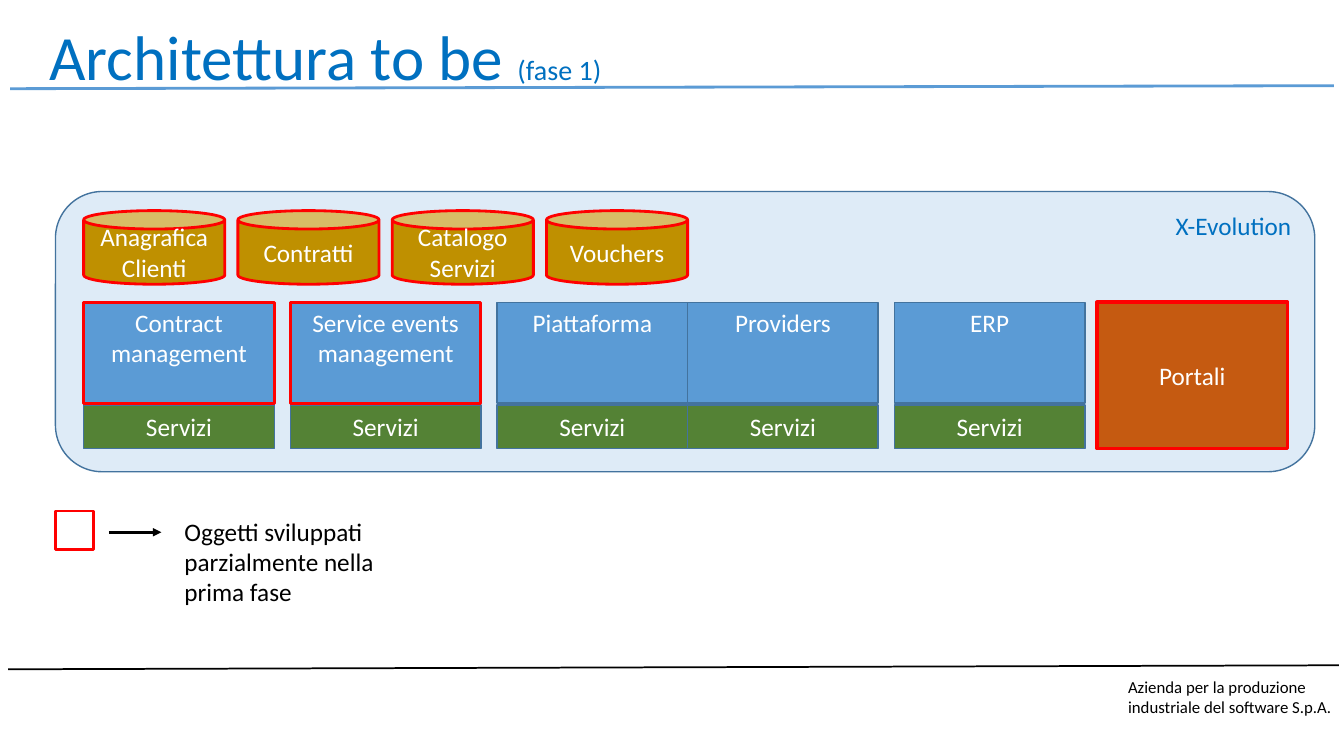
"""Build the slide on the first phase of the target architecture."""
from dataclasses import dataclass

from lxml import etree
from pptx import Presentation
from pptx import util as u
from pptx.dml.color import RGBColor
from pptx.enum import shapes, text
from pptx.oxml.ns import qn

TITLE = [("Architettura to be ", 45), ("(fase 1)", 20)]
PLATFORM = "X-Evolution"
ARCHIVES = [["Anagrafica", "Clienti"], ["Contratti"], ["Catalogo", "Servizi"], ["Vouchers"]]
MODULES = [
    ("Contract management", True, 0.16),
    ("Service events management", True, 0.16),
    ("Piattaforma", False, 0),
    ("Providers", False, 0.16),
    ("ERP", False, 0.12),
]
SERVICE = "Servizi"
PORTALS = "Portali"
LEGEND = "Oggetti sviluppati parzialmente nella prima fase"
FOOTER = "Azienda per la produzione industriale del software S.p.A."


@dataclass(frozen=True)
class Theme:
    font: str = "Calibri"
    body: int = 18
    small: int = 12
    title: str = "0070C0"
    panel: str = "DEEBF7"
    module: str = "5B9BD5"
    service: str = "548235"
    archive: str = "BF9000"
    portal: str = "C55A11"
    edge: str = "43739E"
    partial: str = "FF0000"
    white: str = "FFFFFF"
    black: str = "000000"


THEME = Theme()
LEFT, ALIGN, ANCHOR = 0.83, text.PP_ALIGN, text.MSO_ANCHOR
BOX_WIDTH, BOX_TOP, BOX_HEIGHT = 1.89, 3, 1
SERVICE_TOP, SERVICE_HEIGHT = 4.02, 0.43
CAN_WIDTH, CAN_PITCH = 1.4, 1.53


def rgb(name):
    return RGBColor.from_string(name)


def write(box, paragraphs, color, align=ALIGN.LEFT, anchor=ANCHOR.TOP):
    frame = box.text_frame
    frame.word_wrap = True
    frame.auto_size = text.MSO_AUTO_SIZE.NONE
    frame.vertical_anchor = anchor
    for index, runs in enumerate(paragraphs):
        para = frame.add_paragraph() if index else frame.paragraphs[0]
        para.alignment = align
        for words, size in runs:
            span = para.add_run()
            span.text = words
            span.font.name = THEME.font
            span.font.size = u.Pt(size)
            span.font.color.rgb = rgb(color)


def add_box(page, kind, place, fill, edge, weight, lines=(), color=THEME.white,
            align=ALIGN.CENTER, anchor=ANCHOR.MIDDLE):
    box = page.shapes.add_shape(kind, *map(u.Inches, place))
    box.shadow.inherit = False
    if fill:
        box.fill.solid()
        box.fill.fore_color.rgb = rgb(fill)
    else:
        box.fill.background()
    box.line.color.rgb = rgb(edge)
    box.line.width = u.Pt(weight)
    write(box, [[(line, THEME.body)] for line in lines], color, align, anchor)


def add_label(page, place, words, size):
    box = page.shapes.add_textbox(*map(u.Inches, place))
    write(box, [[(words, size)]], THEME.black)


def add_line(page, ends, color, weight, arrow=False):
    line = page.shapes.add_connector(shapes.MSO_CONNECTOR.STRAIGHT, *map(u.Inches, ends))
    line.line.color.rgb = rgb(color)
    line.line.width = u.Pt(weight)
    if arrow:
        etree.SubElement(line.line._get_or_add_ln(), qn("a:tailEnd"), type="triangle")
    etree.SubElement(line._element.spPr, qn("a:effectLst"))


def add_title(page):
    title = page.shapes.title
    title.left, title.top, title.width, title.height = map(u.Inches, (0.39, 0.12, 7.51, 0.86))
    write(title, [TITLE], THEME.title)
    add_line(page, (0.1, 0.88, 13.23, 0.85), THEME.module, 2)


def add_platform(page):
    kind = shapes.MSO_SHAPE
    add_box(page, kind.ROUNDED_RECTANGLE, (0.55, 1.9, 12.49, 2.78), THEME.panel, THEME.edge, 1,
            [PLATFORM], THEME.title, ALIGN.RIGHT, ANCHOR.TOP)
    for index, lines in enumerate(ARCHIVES):
        place = (LEFT + index * CAN_PITCH, 2.09, CAN_WIDTH, 0.73)
        add_box(page, kind.CAN, place, THEME.archive, THEME.partial, 2, lines)
    left = LEFT
    for name, partial, gap in MODULES:
        edge, weight = (THEME.partial, 2) if partial else (THEME.edge, 1)
        add_box(page, kind.RECTANGLE, (left, SERVICE_TOP, BOX_WIDTH, SERVICE_HEIGHT),
                THEME.service, THEME.edge, 1, [SERVICE])
        add_box(page, kind.RECTANGLE, (left, BOX_TOP, BOX_WIDTH, BOX_HEIGHT),
                THEME.module, edge, weight, [name], anchor=ANCHOR.TOP)
        left += BOX_WIDTH + gap
    height = SERVICE_TOP + SERVICE_HEIGHT - BOX_TOP
    add_box(page, kind.RECTANGLE, (left, BOX_TOP, BOX_WIDTH, height),
            THEME.portal, THEME.partial, 2.75, [PORTALS])


def add_legend(page):
    add_box(page, shapes.MSO_SHAPE.RECTANGLE, (0.55, 5.07, 0.38, 0.38), None, THEME.partial, 2)
    add_line(page, (1.08, 5.28, 1.6, 5.28), THEME.black, 2, arrow=True)
    add_label(page, (1.73, 5.07, 2.15, 1.01), LEGEND, THEME.body)


def add_footer(page):
    add_line(page, (13.28, 6.6, 0.08, 6.64), THEME.black, 1.25)
    add_label(page, (11.09, 6.66, 2.27, 0.5), FOOTER, THEME.small)


deck = Presentation()
deck.slide_width, deck.slide_height = u.Inches(13.33), u.Inches(7.5)
page = deck.slides.add_slide(deck.slide_layouts[5])
add_footer(page)
add_platform(page)
add_title(page)
add_legend(page)
deck.save("out.pptx")
